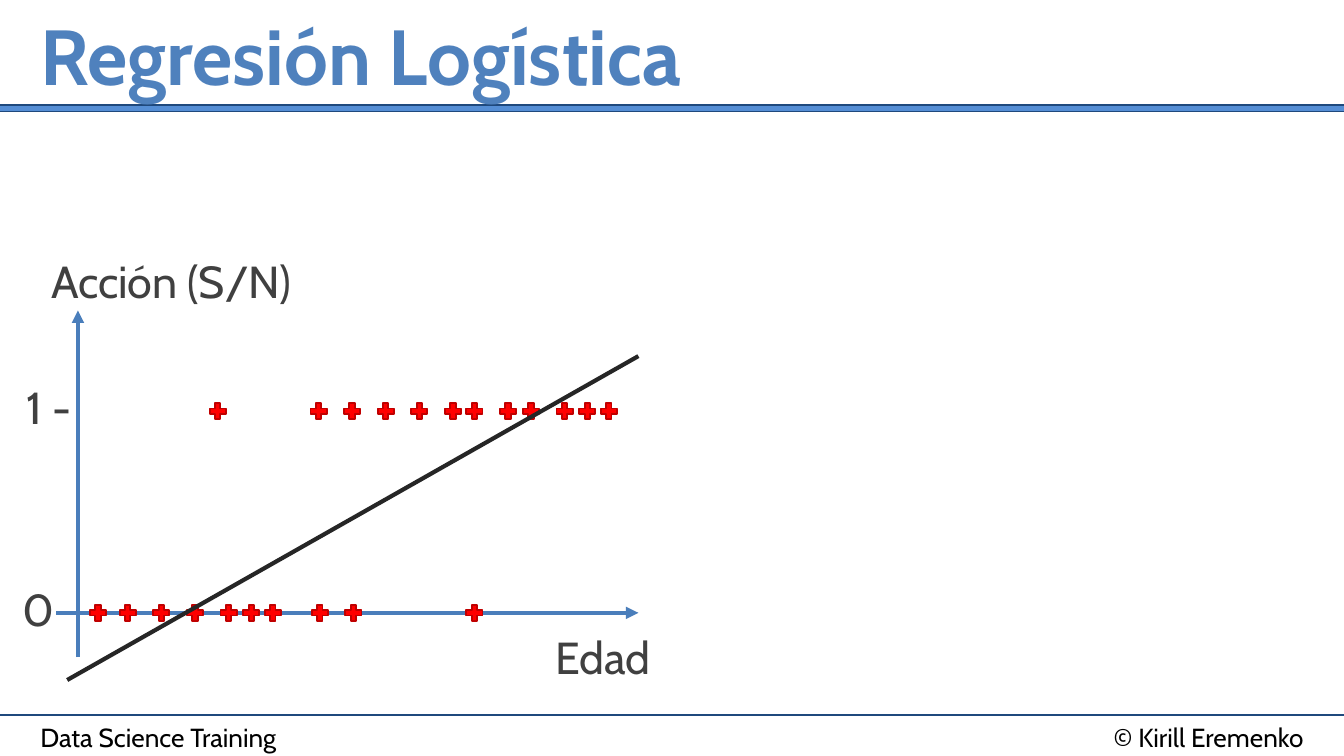
from dataclasses import dataclass

from lxml.etree import SubElement
from pptx import Presentation
from pptx.dml.color import RGBColor
from pptx.enum.shapes import MSO_CONNECTOR, MSO_SHAPE
from pptx.enum.text import MSO_ANCHOR, PP_ALIGN
from pptx.oxml.ns import qn
from pptx.util import Inches, Pt


@dataclass(frozen=True)
class Theme:
    font: str = "Cabin"
    title: str = "4F81BD"
    label: str = "404040"
    footer: str = "000000"
    rule: str = "1F497D"
    band: str = "558ED5"
    axis: str = "4A7EBB"
    trend: str = "262626"
    marker: str = "FF0000"
    marker_edge: str = "C00000"
    title_size: float = 41.8
    label_size: float = 24
    footer_size: float = 14


theme = Theme()
prs = Presentation()
prs.slide_width = Inches(10)
prs.slide_height = Inches(10 * 9 / 16)
s = prs.slides.add_slide(prs.slide_layouts[6])


def add_text(text, x, y, w, h, size, color, bold=False, align=PP_ALIGN.LEFT,
             anchor=MSO_ANCHOR.TOP):
    tf = s.shapes.add_textbox(Inches(x), Inches(y), Inches(w), Inches(h)).text_frame
    tf.word_wrap = True
    tf.vertical_anchor = anchor
    tf.margin_left = tf.margin_right = Inches(0.05)
    tf.margin_top = tf.margin_bottom = Inches(0.05)
    p = tf.paragraphs[0]
    p.alignment = align
    r = p.add_run()
    r.text = text
    r.font.name = theme.font
    r.font.size = Pt(size)
    r.font.bold = bold
    r.font.color.rgb = RGBColor.from_string(color)


def add_line(x1, y1, x2, y2, color, width, arrow=False):
    line = s.shapes.add_connector(MSO_CONNECTOR.STRAIGHT, Inches(x1), Inches(y1),
                                  Inches(x2), Inches(y2))
    line.line.color.rgb = RGBColor.from_string(color)
    line.line.width = Pt(width)
    if arrow:
        SubElement(line._element.spPr.find(qn("a:ln")), qn("a:tailEnd"), type="triangle")
    SubElement(line._element.spPr, qn("a:effectLst"))


# Footer
add_line(0, 5.32, 10, 5.32, theme.rule, 1.5)
add_text("© Kirill Eremenko", 7.08, 5.32, 2.67, 0.34, theme.footer_size, theme.footer,
         align=PP_ALIGN.RIGHT)
add_text("Data Science Training", 0.25, 5.32, 3, 0.57, theme.footer_size, theme.footer)

# Title and band
band = s.shapes.add_shape(MSO_SHAPE.RECTANGLE, Inches(-0.04), Inches(0.78),
                          Inches(10.08), Inches(0.05))
band.shadow.inherit = False
band.fill.solid()
band.fill.fore_color.rgb = RGBColor.from_string(theme.band)
band.line.color.rgb = RGBColor.from_string(theme.rule)
band.line.width = Pt(0.75)
add_text("Regresión Logística", 0.25, 0, 9.5, 0.81, theme.title_size, theme.title,
         bold=True, anchor=MSO_ANCHOR.MIDDLE)

# Axes
add_line(0.58, 4.89, 0.58, 2.31, theme.axis, 2.25, arrow=True)
add_line(0.42, 4.56, 4.75, 4.56, theme.axis, 2.25, arrow=True)

# Observations: marker centres along each outcome level
observations = {
    4.56: [0.73, 0.95, 1.2, 1.45, 1.7, 1.87, 2.03, 2.38, 2.63, 3.53],
    3.06: [1.62, 2.37, 2.62, 2.87, 3.12, 3.37, 3.53, 3.78, 3.95, 4.2, 4.37, 4.53],
}
marker_size = 0.12
for y, ages in observations.items():
    for x in ages:
        sp = s.shapes.add_shape(MSO_SHAPE.CROSS, Inches(x - marker_size / 2),
                                Inches(y - marker_size / 2),
                                Inches(marker_size), Inches(marker_size))
        sp.adjustments[0] = 1 / 3
        sp.shadow.inherit = False
        sp.fill.solid()
        sp.fill.fore_color.rgb = RGBColor.from_string(theme.marker)
        sp.line.color.rgb = RGBColor.from_string(theme.marker_edge)
        sp.line.width = Pt(1)

# Axis labels
for text, x, y, w in [("Acción (S/N)", 0.33, 1.84, 2.08), ("Edad", 4.08, 4.64, 0.92),
                      ("0", 0.12, 4.28, 0.38), ("1 -", 0.15, 2.78, 0.6)]:
    add_text(text, x, y, w, 0.5, theme.label_size, theme.label)

# Linear fit
add_line(0.5, 5.06, 4.75, 2.65, theme.trend, 2.25)

prs.save("out.pptx")
